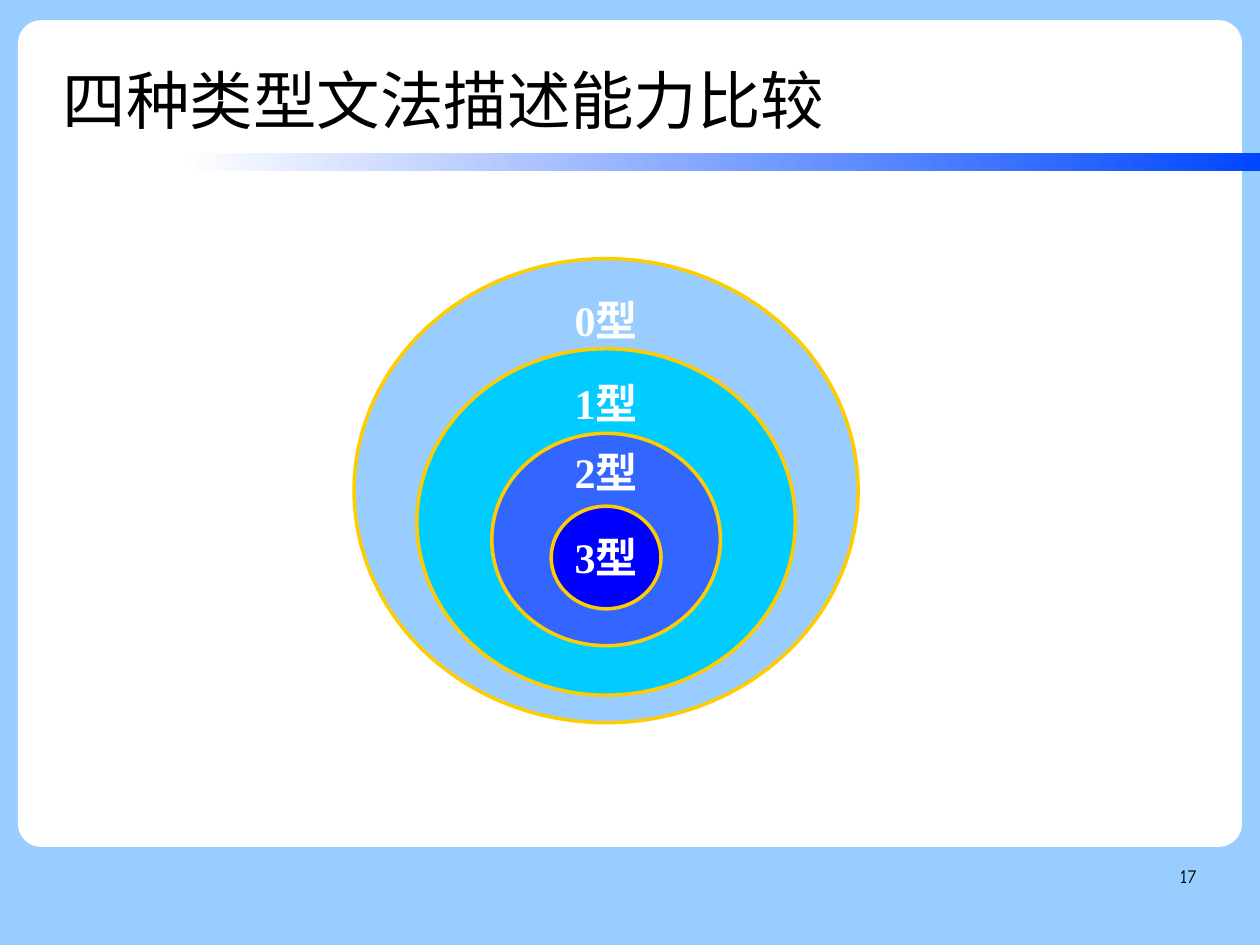
"""Build the slide comparing the expressive power of the four grammar types."""
from pptx import Presentation
from pptx.dml.color import RGBColor
from pptx.enum.shapes import MSO_SHAPE
from pptx.enum.text import MSO_ANCHOR, MSO_AUTO_SIZE, PP_ALIGN
from pptx.oxml.ns import qn
from pptx.util import Cm, Pt

ROUNDED, RECT, OVAL = MSO_SHAPE.ROUNDED_RECTANGLE, MSO_SHAPE.RECTANGLE, MSO_SHAPE.OVAL
LEFT, CENTER, RIGHT = PP_ALIGN.LEFT, PP_ALIGN.CENTER, PP_ALIGN.RIGHT
TOP, MIDDLE = MSO_ANCHOR.TOP, MSO_ANCHOR.MIDDLE
NO_FIT = MSO_AUTO_SIZE.NONE
CJK_FONT = "Noto Sans CJK SC"
COLORS = {
    "sky": "99CCFF", "white": "FFFFFF", "black": "000000", "bar": "0047FF",
    "gold": "FFCC00", "cyan": "00CCFF", "blue": "3366FF", "deep": "0000FF",
}


def color(name):
    return RGBColor.from_string(COLORS[name])


def write(holder, text, size, font, ink, align, anchor, spacing=1.0, bold=False):
    frame = holder.text_frame
    frame.word_wrap = True
    frame.auto_size = NO_FIT
    frame.vertical_anchor = anchor
    frame.margin_left = frame.margin_right = frame.margin_top = frame.margin_bottom = 0
    paragraph = frame.paragraphs[0]
    paragraph.alignment = align
    paragraph.line_spacing = spacing
    run = paragraph.add_run()
    run.text = text
    run.font.size = Pt(size)
    run.font.name = font
    run.font.bold = bold
    run.font.color.rgb = color(ink)
    east_asian = run.font._element.makeelement(qn("a:ea"), {"typeface": CJK_FONT})
    run.font._element.find(qn("a:latin")).addnext(east_asian)


prs = Presentation()
prs.slide_width, prs.slide_height = Cm(28), Cm(21)
slide = prs.slides.add_slide(prs.slide_layouts[5])
slide.background.fill.solid()
slide.background.fill.fore_color.rgb = color("sky")
shapes = slide.shapes

panel = shapes.add_shape(ROUNDED, Cm(0.4), Cm(0.45), Cm(27.2), Cm(18.37))
panel.adjustments[0] = 0.028
panel.shadow.inherit = False
panel.fill.solid()
panel.fill.fore_color.rgb = color("white")
panel.line.fill.background()

title_bar = shapes.add_shape(RECT, Cm(4), Cm(3.4), Cm(24), Cm(0.4))
title_bar.shadow.inherit = False
title_bar.line.fill.background()
title_bar.fill.gradient()
title_bar.fill.gradient_angle = 0
for stop, name in zip(title_bar.fill.gradient_stops, ("white", "bar")):
    stop.color.rgb = color(name)

title = shapes.title
title.left, title.top, title.width, title.height = Cm(1.4), Cm(0.83), Cm(21.79), Cm(2.57)
write(title, "四种类型文法描述能力比较", 40, CJK_FONT, "black", LEFT, MIDDLE, 1.1)
title_bar._element.addnext(title._element)

CENTER_X = 13.47
LABEL_WIDTH, LABEL_HEIGHT = 2.4, 1.4
grammars = [
    ("0型", "sky", 5.75, 11.2, 10.31, 7.11),
    ("1型", "cyan", 7.75, 8.41, 7.7, 8.95),
    ("2型", "blue", 9.63, 5.08, 4.72, 10.48),
    ("3型", "deep", 11.25, 2.44, 2.28, 12.38),
]
for label, fill, top, width, height, label_y in grammars:
    ring = shapes.add_shape(OVAL, Cm(CENTER_X - width / 2), Cm(top), Cm(width), Cm(height))
    ring.shadow.inherit = False
    ring.fill.solid()
    ring.fill.fore_color.rgb = color(fill)
    ring.line.color.rgb = color("gold")
    ring.line.width = Pt(2.25)
    ring_label = shapes.add_textbox(
        Cm(CENTER_X - LABEL_WIDTH / 2), Cm(label_y - LABEL_HEIGHT / 2),
        Cm(LABEL_WIDTH), Cm(LABEL_HEIGHT))
    write(ring_label, label, 26.5, "Times New Roman", "white", CENTER, MIDDLE, bold=True)

page_number = shapes.add_textbox(Cm(20.06), Cm(19.13), Cm(6.53), Cm(1.45))
write(page_number, "17", 12, "Comic Neue", "black", RIGHT, TOP, 1.16)

prs.save("out.pptx")
